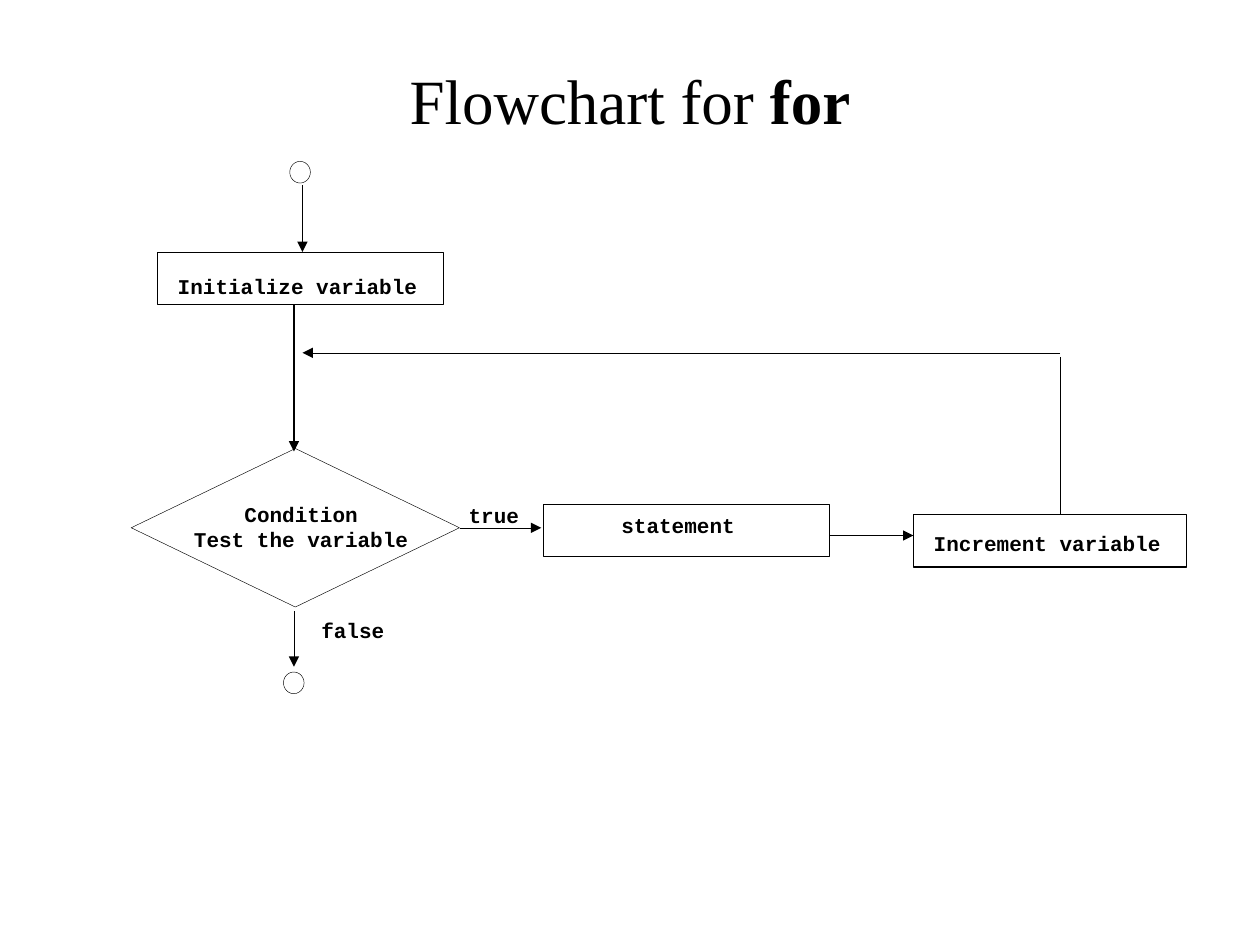
from dataclasses import dataclass

from lxml import etree
from pptx import Presentation
from pptx.dml.color import RGBColor
from pptx.enum.shapes import MSO_CONNECTOR, MSO_SHAPE
from pptx.enum.text import MSO_ANCHOR, PP_ALIGN
from pptx.oxml.ns import qn
from pptx.shapes.autoshape import Shape
from pptx.shapes.connector import Connector
from pptx.slide import Slide
from pptx.util import Pt

CENTER, LEFT = PP_ALIGN.CENTER, PP_ALIGN.LEFT
MIDDLE = MSO_ANCHOR.MIDDLE
STRAIGHT = MSO_CONNECTOR.STRAIGHT
RECTANGLE, OVAL, DIAMOND = MSO_SHAPE.RECTANGLE, MSO_SHAPE.OVAL, MSO_SHAPE.DIAMOND

COLORS = {"ink": "000000", "paper": "FFFFFF"}
TITLE_FONT, LABEL_FONT = "Times New Roman", "Courier New"
THIN, MEDIUM = 0.25, 0.75
RIGHT_SIDE = 3


@dataclass(frozen=True)
class Node:
    kind: MSO_SHAPE
    left: float
    top: float
    width: float
    height: float
    line_width: float = THIN
    filled: bool = False


@dataclass(frozen=True)
class Label:
    lines: tuple[str, ...]
    left: float
    top: float
    width: float
    height: float
    alignment: PP_ALIGN = CENTER


@dataclass(frozen=True)
class Flow:
    start: tuple[float, float]
    end: tuple[float, float]
    line_width: float = THIN
    arrow: bool = True


CONDITION = Node(DIAMOND, 75, 256.3, 187.6, 90.6, filled=True)
NODES = (
    Node(OVAL, 165.6, 92.2, 11.8, 12.4),
    Node(RECTANGLE, 90, 144, 163.4, 29.8),
    Node(RECTANGLE, 310.3, 288, 163.4, 29.8),
    Node(RECTANGLE, 522, 294, 156, 30, MEDIUM),
    Node(OVAL, 162, 384, 11.8, 12.4),
)
TRUE_Y = CONDITION.top + CONDITION.height / 2
TRUE_FLOW = Flow((CONDITION.left + CONDITION.width, TRUE_Y), (309.3, TRUE_Y))
FLOWS = (
    Flow((172.8, 106), (172.8, 144)),
    Flow((168, 174), (168, 258), MEDIUM),
    Flow((168, 349.2), (168, 381)),
    Flow((474, 306), (522, 306), MEDIUM),
    Flow((606, 294), (606, 204), arrow=False),
    Flow((605.8, 201.6), (172.8, 201.6)),
)
LABELS = (
    Label(("Initialize variable",), 72, 156.2, 196, 21),
    Label(("Condition", "Test the variable"), 100.8, 286.6, 142.5, 20),
    Label(("statement",), 289.5, 293, 196, 21),
    Label(("Increment variable",), 500.4, 303.2, 196, 21),
    Label(("true",), 267.8, 287.3, 42, 8, LEFT),
    Label(("false",), 183.6, 352.8, 51, 25, LEFT),
)


def color(name: str) -> RGBColor:
    return RGBColor.from_string(COLORS[name])


def add_title(slide: Slide) -> None:
    title = slide.shapes.title
    title.left, title.top, title.width, title.height = Pt(54), Pt(30), Pt(612), Pt(54)
    title.text_frame.vertical_anchor = MIDDLE
    paragraph = title.text_frame.paragraphs[0]
    paragraph.alignment = CENTER
    paragraph.font.name = TITLE_FONT
    paragraph.font.size = Pt(36)
    paragraph.font.color.rgb = color("ink")
    paragraph.add_run().text = "Flowchart for "
    keyword = paragraph.add_run()
    keyword.text = "for"
    keyword.font.bold = True


def add_node(slide: Slide, node: Node) -> Shape:
    shape = slide.shapes.add_shape(
        node.kind, Pt(node.left), Pt(node.top), Pt(node.width), Pt(node.height)
    )
    shape.shadow.inherit = False
    if node.filled:
        shape.fill.solid()
        shape.fill.fore_color.rgb = color("paper")
    else:
        shape.fill.background()
    shape.line.color.rgb = color("ink")
    shape.line.width = Pt(node.line_width)
    return shape


def add_flow(slide: Slide, flow: Flow) -> Connector:
    connector = slide.shapes.add_connector(
        STRAIGHT, *(Pt(value) for value in flow.start + flow.end)
    )
    connector.line.color.rgb = color("ink")
    connector.line.width = Pt(flow.line_width)
    if flow.arrow:
        line = connector.line._get_or_add_ln()
        etree.SubElement(line, qn("a:tailEnd"), type="triangle")
    etree.SubElement(connector._element.spPr, qn("a:effectLst"))
    return connector


def add_label(slide: Slide, label: Label) -> None:
    box = slide.shapes.add_textbox(
        Pt(label.left), Pt(label.top), Pt(label.width), Pt(label.height)
    )
    frame = box.text_frame
    frame.word_wrap = True
    frame.margin_left = frame.margin_right = frame.margin_top = frame.margin_bottom = 0
    frame.text = "\n".join(label.lines)
    for paragraph in frame.paragraphs:
        paragraph.alignment = label.alignment
        paragraph.font.name = LABEL_FONT
        paragraph.font.size = Pt(12)
        paragraph.font.bold = True
        paragraph.font.color.rgb = color("ink")


def main() -> None:
    presentation = Presentation()
    presentation.slide_width, presentation.slide_height = Pt(720), Pt(540)
    slide = presentation.slides.add_slide(presentation.slide_layouts[5])
    add_title(slide)
    condition = add_node(slide, CONDITION)
    for node in NODES:
        add_node(slide, node)
    add_flow(slide, TRUE_FLOW).begin_connect(condition, RIGHT_SIDE)
    for flow in FLOWS:
        add_flow(slide, flow)
    for label in LABELS:
        add_label(slide, label)
    presentation.save("out.pptx")


if __name__ == "__main__":
    main()
